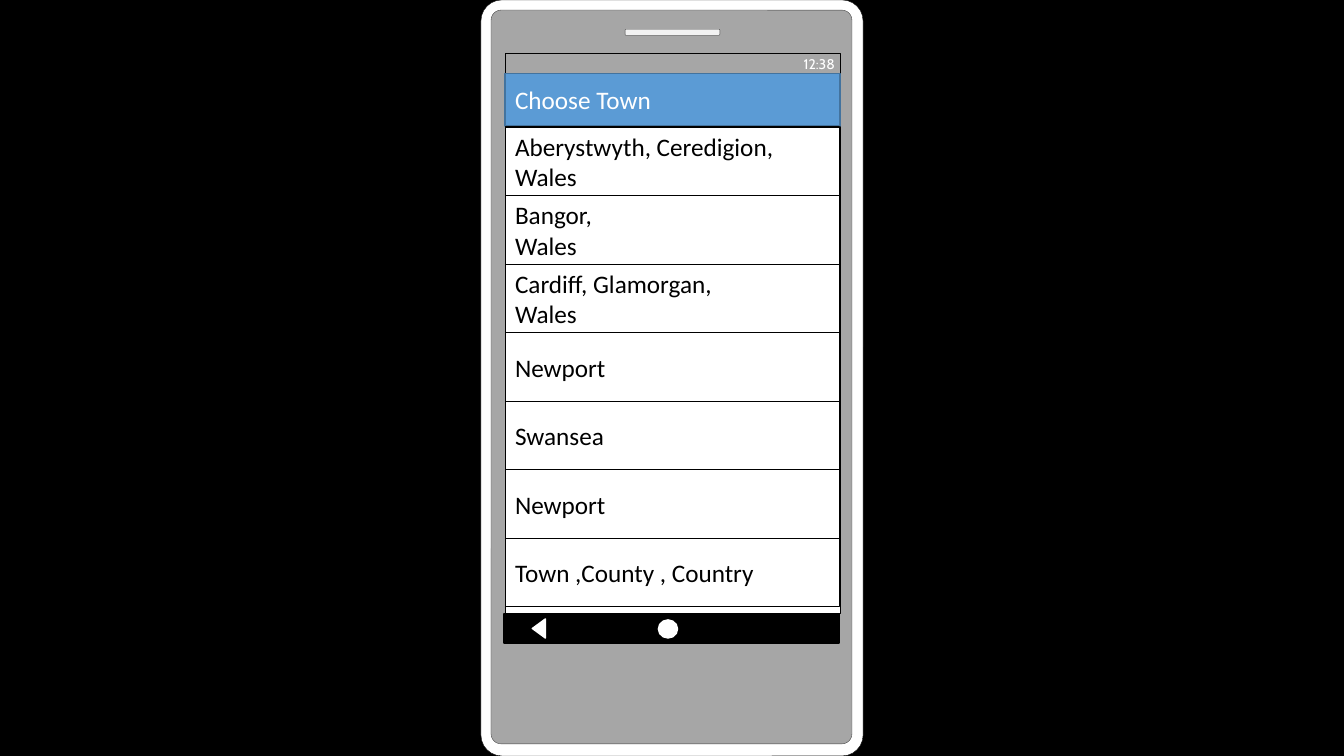
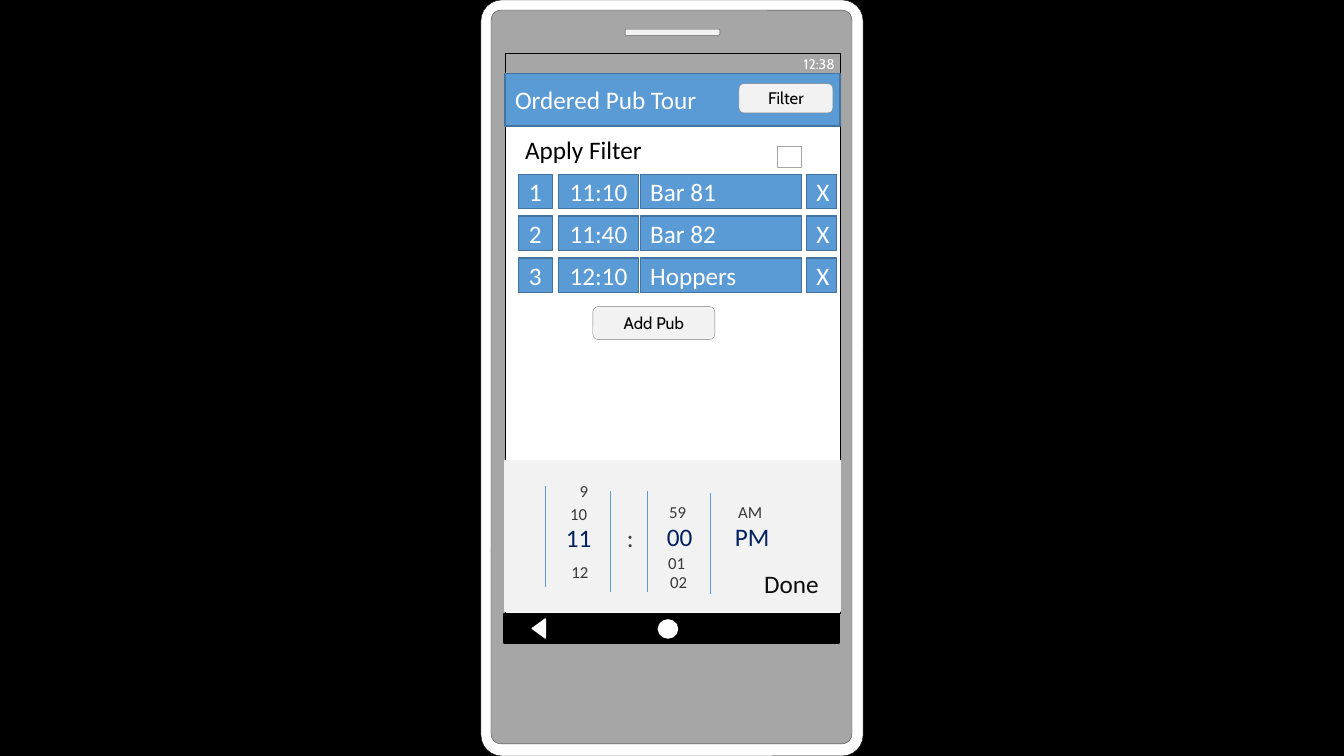
"""Build two phone mock-ups: a town list and an ordered pub tour."""
from dataclasses import dataclass

from lxml.etree import SubElement
from pptx import Presentation
from pptx.dml.color import RGBColor
from pptx.enum.shapes import MSO_CONNECTOR, MSO_SHAPE as Kind
from pptx.enum.text import MSO_ANCHOR, PP_ALIGN as Align
from pptx.oxml.ns import qn
from pptx.util import Inches, Pt

CLOCK = "12:38"
TOWN_TITLE = "Choose Town"
TOWNS = [
    ["Aberystwyth, Ceredigion, Wales"],
    ["Bangor,", "Wales"],
    ["Cardiff, Glamorgan, ", "Wales"],
    ["Newport"],
    ["Swansea"],
    ["Newport"],
    ["Town ,County , Country "],
]
TOUR_TITLE = "Ordered Pub Tour"
FILTER_LABEL = "Apply Filter"
PUBS = [("1", "11:10", "Bar 81"), ("2", "11:40", "Bar 82"), ("3", "12:10", "Hoppers")]
BUTTONS = [("Filter", (7.33, 0.83, 0.93, 0.29)), ("Add Pub", (5.88, 3.04, 1.21, 0.33))]
PICKER_CHOSEN = [
    ("11", 5.74, 5.33, 0.65), (":", 6.23, 5.33, 0.22),
    ("00", 6.74, 5.32, 0.65), ("PM", 7.46, 5.32, 0.65),
]
PICKER_OTHERS = [
    ("9", 5.79, 4.87, 0.65), ("10", 5.74, 5.1, 0.65), ("12", 5.75, 5.67, 0.65),
    ("59", 6.72, 5.08, 0.54), ("01", 6.71, 5.58, 0.54), ("02", 6.73, 5.77, 0.54),
    ("AM", 7.44, 5.08, 0.54),
]
PICKER_RULES = [(5.41, 4.82), (6.05, 4.87), (6.42, 4.87), (7.05, 4.89)]


@dataclass(frozen=True)
class Theme:
    black: str = "000000"
    white: str = "FFFFFF"
    body: str = "A6A6A6"
    pale: str = "F2F2F2"
    edge: str = "404040"
    ink: str = "0D0D0D"
    button_edge: str = "808080"
    blue: str = "5B9BD5"
    blue_edge: str = "43739E"
    navy: str = "002060"
    dim: str = "3B3838"
    font: str = "Calibri"
    button_font: str = "Cabin"
    large: int = 18
    small: int = 12
    tiny: int = 10
    hair: float = 0.25


THEME = Theme()
WIDTH, HEIGHT = 13.33, 7.5
SCREEN_X, SCREEN_W = 5.01, 3.32
TOWN_TOP, TOWN_H = 1.26, 0.68
PUB_TOP, PUB_PITCH, PUB_H = 1.73, 0.415, 0.34
PUB_COLUMNS = [(5.14, 0.34), (5.54, 0.79), (6.35, 1.6), (8, 0.3)]


def color(code):
    return RGBColor.from_string(code)


def write(shape, lines, ink, size=THEME.large, font=THEME.font, align=Align.LEFT,
          insets=(0.1, 0.05, 0.1, 0.05), anchor=MSO_ANCHOR.MIDDLE):
    frame = shape.text_frame
    frame.word_wrap = True
    frame.vertical_anchor = anchor
    frame.margin_left, frame.margin_top, frame.margin_right, frame.margin_bottom = map(Inches, insets)
    for index, line in enumerate(lines):
        para = frame.add_paragraph() if index else frame.paragraphs[0]
        para.alignment = align
        span = para.add_run()
        span.text = line
        span.font.size, span.font.name = Pt(size), font
        span.font.color.rgb = color(ink)


def draw(page, kind, place, fill, line, weight=1, corner=None):
    shape = page.shapes.add_shape(kind, *map(Inches, place))
    shape.shadow.inherit = False
    if fill:
        shape.fill.solid()
        shape.fill.fore_color.rgb = color(fill)
    else:
        shape.fill.background()
    shape.line.color.rgb = color(line)
    shape.line.width = Pt(weight)
    if corner is not None:
        shape.adjustments[0] = corner
    return shape


def add_phone(page, title):
    draw(page, Kind.RECTANGLE, (0, 0, WIDTH, HEIGHT), THEME.black, THEME.black)
    rounded = Kind.ROUNDED_RECTANGLE
    draw(page, rounded, (4.77, 0, 3.79, HEIGHT), THEME.white, THEME.ink, THEME.hair, 0.055)
    draw(page, rounded, (4.87, 0.1, 3.58, 7.28), THEME.body, THEME.edge, THEME.hair, 0.028)
    draw(page, Kind.RECTANGLE, (SCREEN_X, 0.53, SCREEN_W, 5.55), THEME.white, THEME.black, THEME.hair)
    draw(page, rounded, (6.2, 0.29, 0.94, 0.06), THEME.pale, THEME.edge, THEME.hair)
    status = draw(page, Kind.RECTANGLE, (SCREEN_X, 0.53, SCREEN_W, 0.21), THEME.black, THEME.black)
    status.line.fill.background()
    tint = status.fill._xPr.find(qn("a:solidFill"))[0]
    SubElement(tint, qn("a:alpha")).set("val", "35000")
    write(status, [CLOCK], THEME.white, THEME.tiny, THEME.button_font, Align.RIGHT, (0.05,) * 4)
    header = draw(page, Kind.ACTION_BUTTON_CUSTOM, (SCREEN_X, 0.73, SCREEN_W, 0.52),
                  THEME.blue, THEME.blue_edge)
    write(header, [title], THEME.white)


def add_navigation(page):
    draw(page, Kind.RECTANGLE, (SCREEN_X, 6.39, SCREEN_W, 0.67), THEME.body, THEME.body)
    draw(page, Kind.RECTANGLE, (5, 6.09, SCREEN_W, 0.29), THEME.black, THEME.black)
    back = draw(page, Kind.ISOSCELES_TRIANGLE, (5.25, 6.17, 0.19, 0.13), THEME.white, THEME.white)
    back.rotation = 270
    draw(page, Kind.OVAL, (6.53, 6.15, 0.19, 0.18), THEME.white, THEME.white)


def add_towns(page):
    for index, lines in enumerate(TOWNS):
        place = (SCREEN_X, TOWN_TOP + index * TOWN_H, SCREEN_W, TOWN_H)
        row = draw(page, Kind.ACTION_BUTTON_CUSTOM, place, None, THEME.black, 0.75)
        write(row, lines, THEME.black)


def add_tour(page):
    for label, place in BUTTONS:
        button = draw(page, Kind.ROUNDED_RECTANGLE, place, THEME.pale, THEME.button_edge, THEME.hair)
        write(button, [label], THEME.black, THEME.small, THEME.button_font, Align.CENTER,
              (0.1, 0, 0.1, 0.01))
    draw(page, Kind.RECTANGLE, (7.71, 1.45, 0.24, 0.21), THEME.white, THEME.body, THEME.hair)
    label = page.shapes.add_textbox(*map(Inches, (5.11, 1.28, 1.75, 0.4)))
    write(label, [FILTER_LABEL], THEME.black, anchor=MSO_ANCHOR.TOP)
    for index, (number, time, pub) in enumerate(PUBS):
        for (left, width), text in zip(PUB_COLUMNS, (number, time, pub, "X")):
            place = (left, PUB_TOP + index * PUB_PITCH, width, PUB_H)
            cell = draw(page, Kind.RECTANGLE, place, THEME.blue, THEME.blue_edge)
            write(cell, [text], THEME.white, align=Align.LEFT if text == pub else Align.CENTER)


def add_picker_cell(page, text, center, middle, width, height, ink, size):
    place = (center - width / 2, middle - height / 2, width, height)
    cell = draw(page, Kind.RECTANGLE, place, THEME.pale, THEME.pale)
    write(cell, [text], ink, size, align=Align.CENTER)


def add_picker(page):
    draw(page, Kind.RECTANGLE, (SCREEN_X, 4.57, SCREEN_W, 1.5), THEME.pale, THEME.pale)
    for entry in PICKER_CHOSEN:
        ink = THEME.dim if entry[0] == ":" else THEME.navy
        add_picker_cell(page, *entry, 0.35, ink, THEME.large)
    for entry in PICKER_OTHERS:
        add_picker_cell(page, *entry, 0.2, THEME.dim, THEME.small)
    add_picker_cell(page, "Done", 7.85, 5.79, 0.78, 0.25, THEME.ink, THEME.large)
    for left, top in PICKER_RULES:
        ends = map(Inches, (left, top + 1, left, top))
        rule = page.shapes.add_connector(MSO_CONNECTOR.STRAIGHT, *ends)
        rule.line.color.rgb = color(THEME.blue)
        rule.line.width = Pt(0.5)
        SubElement(rule._element.spPr, qn("a:effectLst"))


deck = Presentation()
deck.slide_width, deck.slide_height = Inches(WIDTH), Inches(HEIGHT)
for title, parts in [
    (TOWN_TITLE, (add_towns, add_navigation)),
    (TOUR_TITLE, (add_tour, add_navigation, add_picker)),
]:
    page = deck.slides.add_slide(deck.slide_layouts[6])
    add_phone(page, title)
    for add_part in parts:
        add_part(page)
deck.save("out.pptx")
